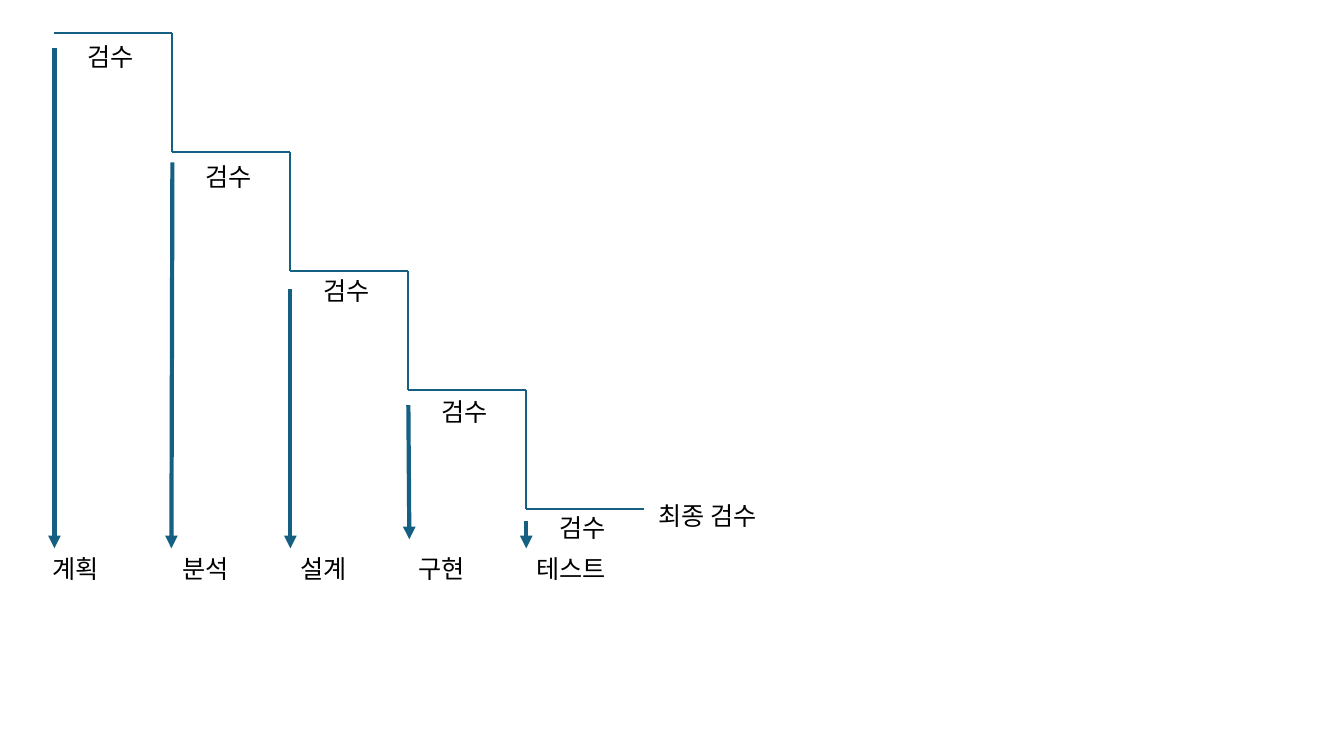
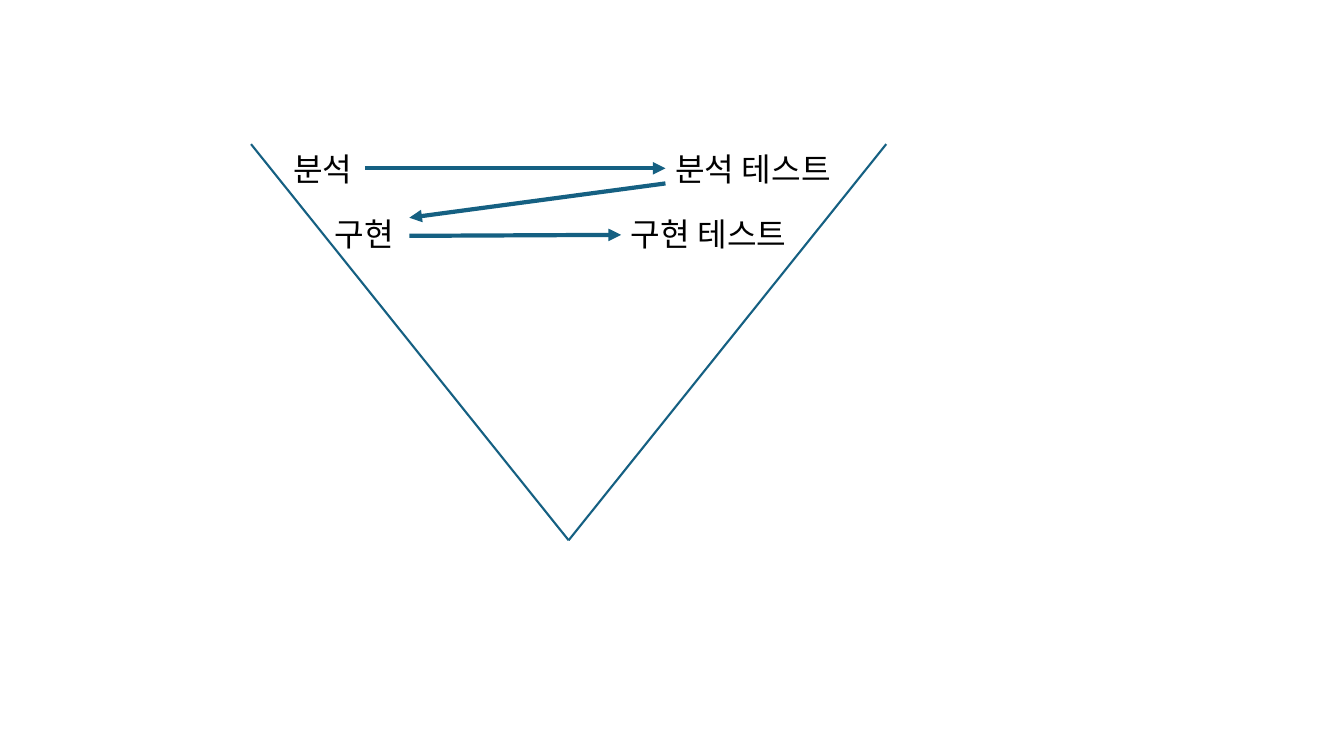
from dataclasses import dataclass

from pptx import Presentation
from pptx.dml.color import RGBColor as Rgb
from pptx.enum.shapes import MSO_CONNECTOR as Link
from pptx.enum.text import MSO_AUTO_SIZE as Fit
from pptx.oxml.ns import qn
from pptx.slide import Slide
from pptx.util import Inches, Pt

FONT = "Noto Sans CJK KR"
BLUE = "156082"
BLACK = "000000"
THIN, THICK = 1.5, 3

LEFT, TOP = 0.54, 0.33
WIDE, HIGH = 1.17, 1.18
FLOOR = 5.44

Point = tuple[float, float]


@dataclass(frozen=True)
class Step:
    """One stair: its name, arrow and check label."""
    name: str
    gap: float
    check: float
    width: float = 0.71
    shift: float = 0.0
    lean: float = 0.0
    foot: float = FLOOR


@dataclass(frozen=True)
class Phase:
    """One level of the V: work on the left, its test on the right."""
    name: str
    top: float
    left: float
    right: float


STEPS = [
    Step("계획", 0.15, 0.36, shift=-0.12),
    Step("분석", 0.1, 1.55, lean=-0.01),
    Step("설계", 0.18, 2.68),
    Step("구현", 0.15, 3.88, lean=0.01, foot=5.35),
    Step("테스트", 0.12, 5.03, width=0.96),
]
PHASES = [
    Phase("분석", 1.43, 2.81, 6.6),
    Phase("구현", 2.08, 3.22, 6.16),
]
ARROWS = [
    ((3.62, 1.67), (6.6, 1.67)),
    ((6.6, 1.82), (4.06, 2.16)),
    ((4.06, 2.34), (6.16, 2.33)),
]


def paint(code: str) -> Rgb:
    """Turn a hex string into a colour."""
    return Rgb.from_string(code)


def line(slide: Slide, start: Point, end: Point, size: float = THIN, arrow: bool = False) -> None:
    """Draw a straight line, with an arrowhead at its end if asked."""
    ends = [Inches(n) for n in (*start, *end)]
    link = slide.shapes.add_connector(Link.STRAIGHT, *ends)
    link.line.color.rgb = paint(BLUE)
    link.line.width = Pt(size)
    props = link._element.spPr
    if arrow:
        head = props.find(qn("a:ln"))
        head.append(head.makeelement(qn("a:tailEnd"), {"type": "triangle"}))
    props.append(props.makeelement(qn("a:effectLst"), {}))


def label(slide: Slide, text: str, spot: Point, width: float, size: int, wrap: bool = False) -> None:
    """Write one line of text at a spot."""
    high = 0.49 if wrap else 0.4
    box = slide.shapes.add_textbox(*(Inches(n) for n in (*spot, width, high)))
    frame = box.text_frame
    frame.text = text
    frame.word_wrap = wrap
    frame.auto_size = Fit.SHAPE_TO_FIT_TEXT
    font = frame.paragraphs[0].runs[0].font
    font.name, font.size = FONT, Pt(size)
    font.color.rgb = paint(BLACK)
    props = font._element
    latin = props.find(qn("a:latin"))
    latin.addnext(props.makeelement(qn("a:ea"), {"typeface": FONT}))


def stairs(slide: Slide) -> None:
    """Draw the waterfall of steps."""
    for i, step in enumerate(STEPS):
        x, y = LEFT + i * WIDE, TOP + i * HIGH
        edge = x + WIDE
        line(slide, (x, y), (edge, y))
        if i < len(STEPS) - 1:
            line(slide, (edge, y), (edge, y + HIGH))
        line(slide, (x, y + step.gap), (x + step.lean, step.foot), THICK, True)
        label(slide, step.name, (x + step.shift, FLOOR), step.width, 18)
        label(slide, "검수", (x + 0.23, step.check), 0.71, 18)
    label(slide, "최종 검수", (6.43, 4.91), 1.3, 18)


def vee(slide: Slide) -> None:
    """Draw the V with its phases and arrows."""
    for x in (2.49, 8.79):
        line(slide, (x, 1.43), (5.64, 5.36))
    for phase in PHASES:
        label(slide, phase.name, (phase.left, phase.top), 1.01, 23, True)
        label(slide, f"{phase.name} 테스트", (phase.right, phase.top), 1.98, 23, True)
    for start, end in ARROWS:
        line(slide, start, end, THICK, True)


def main() -> None:
    """Build and save both slides."""
    deck = Presentation()
    deck.slide_width, deck.slide_height = Inches(13.33), Inches(7.5)
    for draw in (stairs, vee):
        draw(deck.slides.add_slide(deck.slide_layouts[6]))
    deck.save("out.pptx")


if __name__ == "__main__":
    main()
